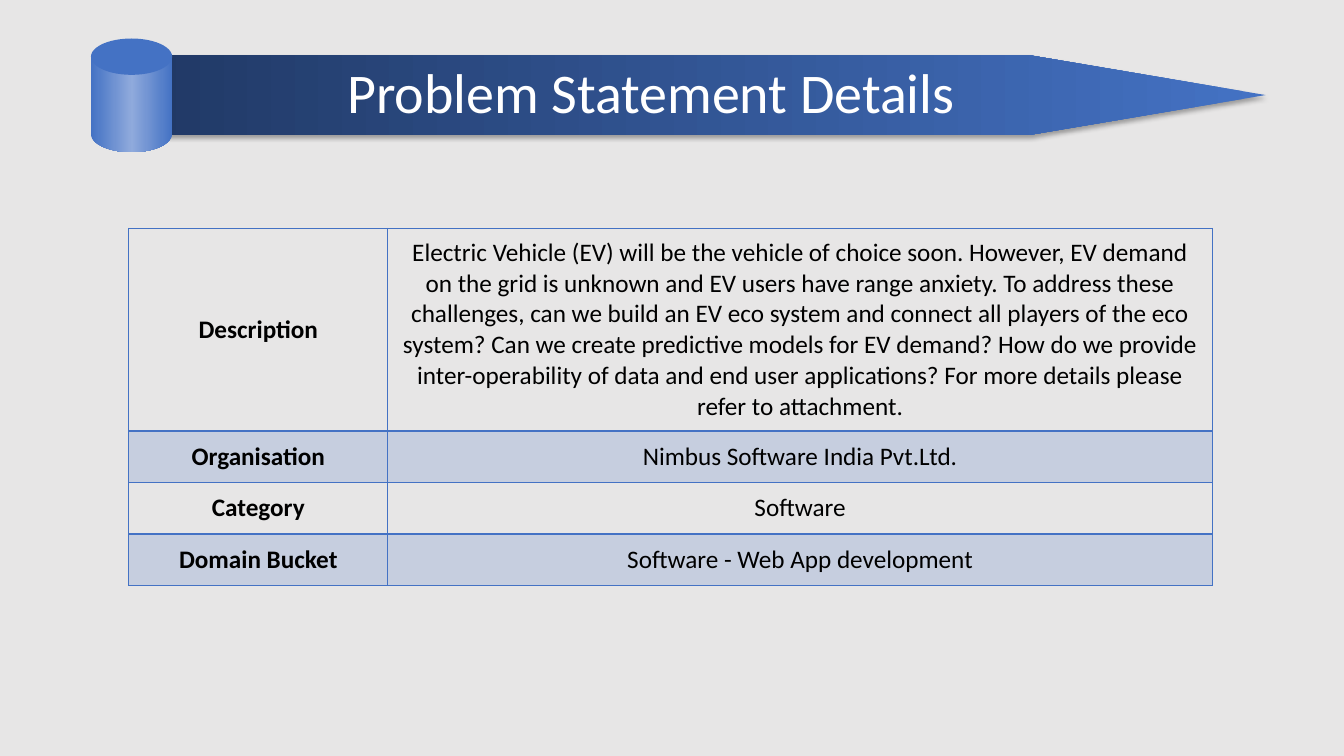
import copy
import math

import lxml.etree
import pptx
import pptx.dml.color
import pptx.enum.shapes
import pptx.enum.text
import pptx.oxml.ns
import pptx.util

Pt = pptx.util.Pt
qn = pptx.oxml.ns.qn

COLORS = {
    "background": "E7E6E6",
    "blue": "4472C4",
    "navy": "203864",
    "highlight": "8FAADC",
    "white": "FFFFFF",
    "black": "000000",
}
FONT = "Calibri"
ROWS = [
    ("Description",
     "Electric Vehicle (EV) will be the vehicle of choice soon. However, EV demand on the grid is "
     "unknown and EV users have range anxiety. To address these challenges, can we build an EV eco "
     "system and connect all players of the eco system? Can we create predictive models for EV "
     "demand? How do we provide inter-operability of data and end user applications? For more "
     "details please refer to attachment."),
    ("Organisation", "Nimbus Software India Pvt.Ltd."),
    ("Category", "Software"),
    ("Domain Bucket", "Software - Web App development"),
]


def rgb(name):
    return pptx.dml.color.RGBColor.from_string(COLORS[name])


def add_node(parent, tag, **attributes):
    return lxml.etree.SubElement(
        parent, qn(tag), {key: str(value) for key, value in attributes.items()})


def write_text(text_frame, text, size=18, color="black", bold=False):
    paragraph = text_frame.paragraphs[0]
    paragraph.alignment = pptx.enum.text.PP_ALIGN.CENTER
    run = paragraph.add_run()
    run.text = text
    run.font.name = FONT
    run.font.size = Pt(size)
    run.font.bold = bold
    run.font.color.rgb = rgb(color)


def fill_gradient(shape, colors, angle):
    shape.fill.gradient()
    shape.fill.gradient_angle = angle
    stop_list = shape._element.spPr.find(".//" + qn("a:gsLst"))
    for _ in colors[2:]:
        stop_list.append(copy.deepcopy(stop_list[-1]))
    for index, (stop, color) in enumerate(zip(shape.fill.gradient_stops, colors)):
        stop.position = index / (len(colors) - 1)
        stop.color.rgb = rgb(color)


def add_outline(shapes, points):
    corners = [(Pt(x), Pt(y)) for x, y in points]
    builder = shapes.build_freeform(*corners[0])
    builder.add_line_segments(corners[1:], close=True)
    shape = builder.convert_to_shape()
    shape.shadow.inherit = False
    shape.line.fill.background()
    return shape


def add_banner(slide, left, top, width, height):
    right, bottom, neck = left + width, top + height, left + 0.792 * width
    banner = add_outline(slide.shapes, [
        (left, top), (neck, top), (right, top + height / 2), (neck, bottom), (left, bottom)])
    fill_gradient(banner, ["blue", "navy"], 180)
    effects = banner._element.spPr.find(qn("a:effectLst"))
    shadow = add_node(effects, "a:outerShdw", blurRad=Pt(3.5), dist=Pt(2.2),
                      dir=5400000, algn="t", rotWithShape=0)
    shade = add_node(shadow, "a:srgbClr", val=COLORS["black"])
    add_node(shade, "a:alpha", val=32000)

    title = slide.shapes.add_textbox(Pt(left + 74.2), Pt(top - 2), Pt(597.6), Pt(55.7))
    title.text_frame.word_wrap = True
    title.text_frame.auto_size = pptx.enum.text.MSO_AUTO_SIZE.SHAPE_TO_FIT_TEXT
    write_text(title.text_frame, "Problem Statement Details", size=40, color="white")


def add_cylinder(slide, left, top, width, height):
    group = slide.shapes.add_group_shape()
    radius_x, radius_y = width / 2, 13
    base = top + height - radius_y
    arc = [(left + radius_x + radius_x * math.cos(math.pi * step / 48),
            base + radius_y * math.sin(math.pi * step / 48)) for step in range(49)]
    body = add_outline(group.shapes, [
        (left, top + radius_y), (left + width, top + radius_y), *arc])
    fill_gradient(body, ["blue", "highlight", "blue"], 0)
    lid = group.shapes.add_shape(pptx.enum.shapes.MSO_SHAPE.OVAL,
                                 Pt(left), Pt(top), Pt(width), Pt(2 * radius_y))
    lid.shadow.inherit = False
    lid.fill.solid()
    lid.fill.fore_color.rgb = rgb("blue")
    lid.line.fill.background()


def format_cell(cell, shaded, border_widths):
    cell.vertical_anchor = pptx.enum.text.MSO_ANCHOR.MIDDLE
    properties = cell._tc.get_or_add_tcPr()
    if shaded:
        cell.fill.solid()
        cell.fill.fore_color.rgb = rgb("blue")
        add_node(properties.find(".//" + qn("a:srgbClr")), "a:alpha", val=20000)
    else:
        cell.fill.background()
    for index, (side, width) in enumerate(border_widths.items()):
        line = add_node(properties, "a:ln" + side, w=Pt(width))
        add_node(add_node(line, "a:solidFill"), "a:srgbClr", val=COLORS["blue"])
        properties.insert(index, line)


def add_details(slide, left, top, width, height):
    row_height = 36.85
    table = slide.shapes.add_table(
        len(ROWS), 2, Pt(left), Pt(top), Pt(width), Pt(height)).table
    table.first_row = False
    table.horz_banding = False
    label_width = 185
    table.columns[0].width = Pt(label_width)
    table.columns[1].width = Pt(width - label_width)
    for row, texts in enumerate(ROWS):
        table.rows[row].height = Pt(row_height if row else height - 3 * row_height)
        borders = {"L": 1, "R": 1, "T": 2 if row == 1 else 1, "B": 2 if row == 0 else 1}
        for column, text in enumerate(texts):
            cell = table.cell(row, column)
            write_text(cell.text_frame, text, bold=column == 0)
            format_cell(cell, row % 2 == 1, borders)


def main():
    presentation = pptx.Presentation()
    presentation.slide_width = Pt(960)
    presentation.slide_height = Pt(540)
    slide = presentation.slides.add_slide(presentation.slide_layouts[6])
    slide.background.fill.solid()
    slide.background.fill.fore_color.rgb = rgb("background")
    add_banner(slide, 92, 39.4, 812, 57)
    add_cylinder(slide, 65, 27.5, 58, 81.2)
    add_details(slide, 92, 163.2, 774, 255.2)
    presentation.save("out.pptx")


if __name__ == "__main__":
    main()
